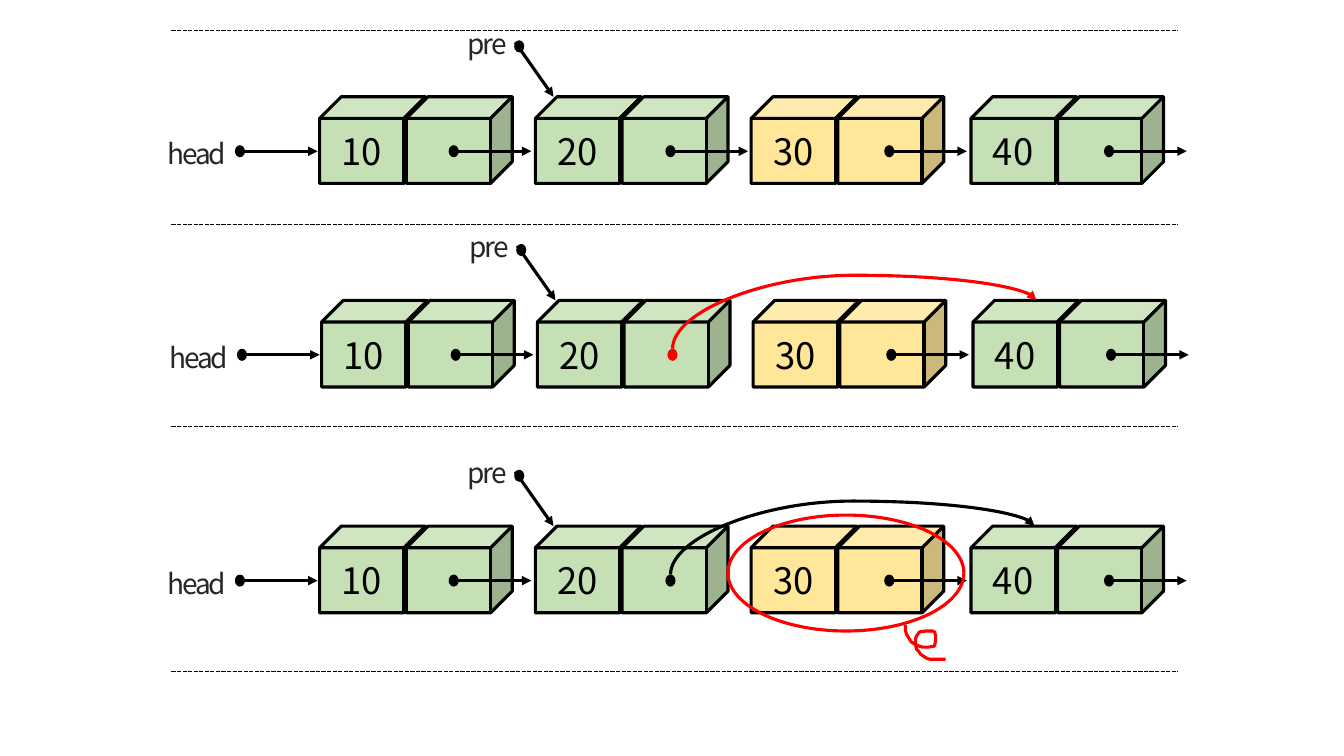
import pptx
import pptx.util
import pptx.dml.color
import pptx.enum.dml
import pptx.enum.shapes
import pptx.enum.text
import lxml.etree

Inches, Pt = pptx.util.Inches, pptx.util.Pt
SHAPE = pptx.enum.shapes.MSO_SHAPE
CONNECTOR = pptx.enum.shapes.MSO_CONNECTOR
FONT = "Noto Sans CJK KR"
BLACK, RED, GRAY = "000000", "FF0000", "262626"
GREEN, YELLOW = "C5E0B4", "FFE699"

NODES = [
    ("10", 3.17, GREEN, 1.28),
    ("20", 5.31, GREEN, 1.29),
    ("30", 7.45, YELLOW, 1.32),
    ("40", 9.63, GREEN, 1.32),
]
STEPS = [
    {"shift": 0, "top": 0.96, "bypass": None},
    {"shift": 0.02, "top": 2.98, "bypass": RED},
    {"shift": 0, "top": 5.22, "bypass": BLACK},
]
SEPARATORS = [0.3, 2.23, 4.23, 6.66]
REMOVED_OVAL = (7.22, 5.11, 2.34, 1.15)
DELETE_MARK = [
    (8.98, 6.2), (8.98, 6.25), (8.99, 6.29), (9.02, 6.34), (9.04, 6.37),
    (9.09, 6.4), (9.15, 6.42), (9.21, 6.42), (9.27, 6.41), (9.28, 6.35),
    (9.28, 6.31), (9.27, 6.27), (9.25, 6.26), (9.19, 6.26), (9.12, 6.27),
    (9.09, 6.31), (9.08, 6.34), (9.08, 6.39), (9.09, 6.44), (9.11, 6.46),
    (9.13, 6.49), (9.19, 6.53), (9.22, 6.54), (9.38, 6.54),
]
CUBE_W, CUBE_H, CUBE_STEP = 1.05, 0.86, 0.86
DOT_W, DOT_H, DOT_DROP = 0.1, 0.12, 0.48
ARROW_LEN, ARROW_DROP = 0.73, 0.54

deck = pptx.Presentation()
deck.slide_width, deck.slide_height = Inches(13.33), Inches(7.5)
slide = deck.slides.add_slide(deck.slide_layouts[6])


def rgb(color):
    return pptx.dml.color.RGBColor.from_string(color)


def style_text(frame, text, size, color):
    frame.text = text
    font = frame.paragraphs[0].runs[0].font
    font.name, font.size = FONT, Pt(size)
    font.color.rgb = rgb(color)
    return font


def outline(shape, color, fill=None):
    shape.shadow.inherit = False
    shape.line.color.rgb = rgb(color)
    shape.line.width = Pt(2.25)
    if fill:
        shape.fill.solid()
        shape.fill.fore_color.rgb = rgb(fill)
    else:
        shape.fill.background()


def add_outlined(kind, box, color, fill=None):
    shape = slide.shapes.add_shape(kind, *map(Inches, box))
    outline(shape, color, fill)
    return shape


def add_dot(left, top, color=BLACK):
    dot = add_outlined(SHAPE.FLOWCHART_CONNECTOR, (left, top, DOT_W, DOT_H), color, color)
    dot.line.fill.background()


def add_line(start, end, color=BLACK, width=2.25, arrow=True, kind=CONNECTOR.STRAIGHT):
    line = slide.shapes.add_connector(kind, *map(Inches, (*start, *end)))
    line.line.color.rgb = rgb(color)
    line.line.width = Pt(width)
    if arrow:
        tail = lxml.etree.SubElement(line.line._get_or_add_ln(), pptx.oxml.ns.qn("a:tailEnd"))
        tail.set("type", "triangle")
    lxml.etree.SubElement(line._element.spPr, pptx.oxml.ns.qn("a:effectLst"))
    return line


def add_bypass(start, end, color):
    mid_x, mid_y = (start[0] + end[0]) / 2, (start[1] + end[1]) / 2
    half_w, half_h = (start[1] - end[1]) / 2, (end[0] - start[0]) / 2
    curve = add_line((mid_x + half_w, mid_y + half_h), (mid_x - half_w, mid_y - half_h),
                     color, kind=CONNECTOR.CURVE)
    properties = curve._element.spPr
    properties.find(pptx.oxml.ns.qn("a:xfrm")).set("rot", "5400000")
    adjustments = properties.find(pptx.oxml.ns.qn("a:prstGeom")).get_or_add_avLst()
    guide = lxml.etree.SubElement(adjustments, pptx.oxml.ns.qn("a:gd"))
    guide.set("name", "adj1")
    guide.set("fmla", "val 151900")


def add_label(text, left, top, width):
    label = slide.shapes.add_textbox(*map(Inches, (left, top, width, 0.44)))
    frame = label.text_frame
    frame.word_wrap = True
    frame.auto_size = pptx.enum.text.MSO_AUTO_SIZE.SHAPE_TO_FIT_TEXT
    font = style_text(frame, text, 20, GRAY)
    font._element.set("spc", "-150")


def add_pointer(left, top, color=BLACK, arrow=True):
    add_dot(left, top + DOT_DROP, color)
    if arrow:
        start = left + 0.09
        add_line((start, top + ARROW_DROP), (start + ARROW_LEN, top + ARROW_DROP))


def add_node(value, left, top, fill):
    for column, text in enumerate((value, "")):
        cube = add_outlined(SHAPE.CUBE, (left + column * CUBE_STEP, top, CUBE_W, CUBE_H), BLACK, fill)
        if text:
            frame = cube.text_frame
            frame.vertical_anchor = pptx.enum.text.MSO_ANCHOR.MIDDLE
            style_text(frame, text, 26, BLACK)
            frame.paragraphs[0].alignment = pptx.enum.text.PP_ALIGN.CENTER


for step in STEPS:
    shift, top, bypass = step["shift"], step["top"], step["bypass"]
    for value, left, fill, pointer in NODES:
        add_node(value, left + shift, top, fill)
        skips = bool(bypass) and value == "20"
        add_pointer(left + shift + pointer, top, bypass if skips else BLACK, not skips)
    add_label("head", 1.56 + shift, top + 0.35, 0.86)
    add_pointer(2.33 + shift, top)
    add_label("pre", 4.54 + shift, top - 0.75, 0.76)
    add_dot(5.1 + shift, top - 0.56)
    add_line((5.11 + shift, top - 0.54), (5.49 + shift, top))
    if bypass:
        add_bypass((6.65 + shift, top + DOT_DROP), (10.26 + shift, top), bypass)

add_outlined(SHAPE.OVAL, REMOVED_OVAL, RED)
mark_points = [(Inches(x), Inches(y)) for x, y in DELETE_MARK]
mark = slide.shapes.build_freeform(*mark_points[0])
mark.add_line_segments(mark_points[1:], close=False)
outline(mark.convert_to_shape(), RED)

for y in SEPARATORS:
    separator = add_line((1.7, y), (11.68, y), width=1, arrow=False)
    separator.line.dash_style = pptx.enum.dml.MSO_LINE.SQUARE_DOT
    separator.line._get_or_add_ln().find(pptx.oxml.ns.qn("a:prstDash")).set("val", "sysDash")

deck.save("out.pptx")
